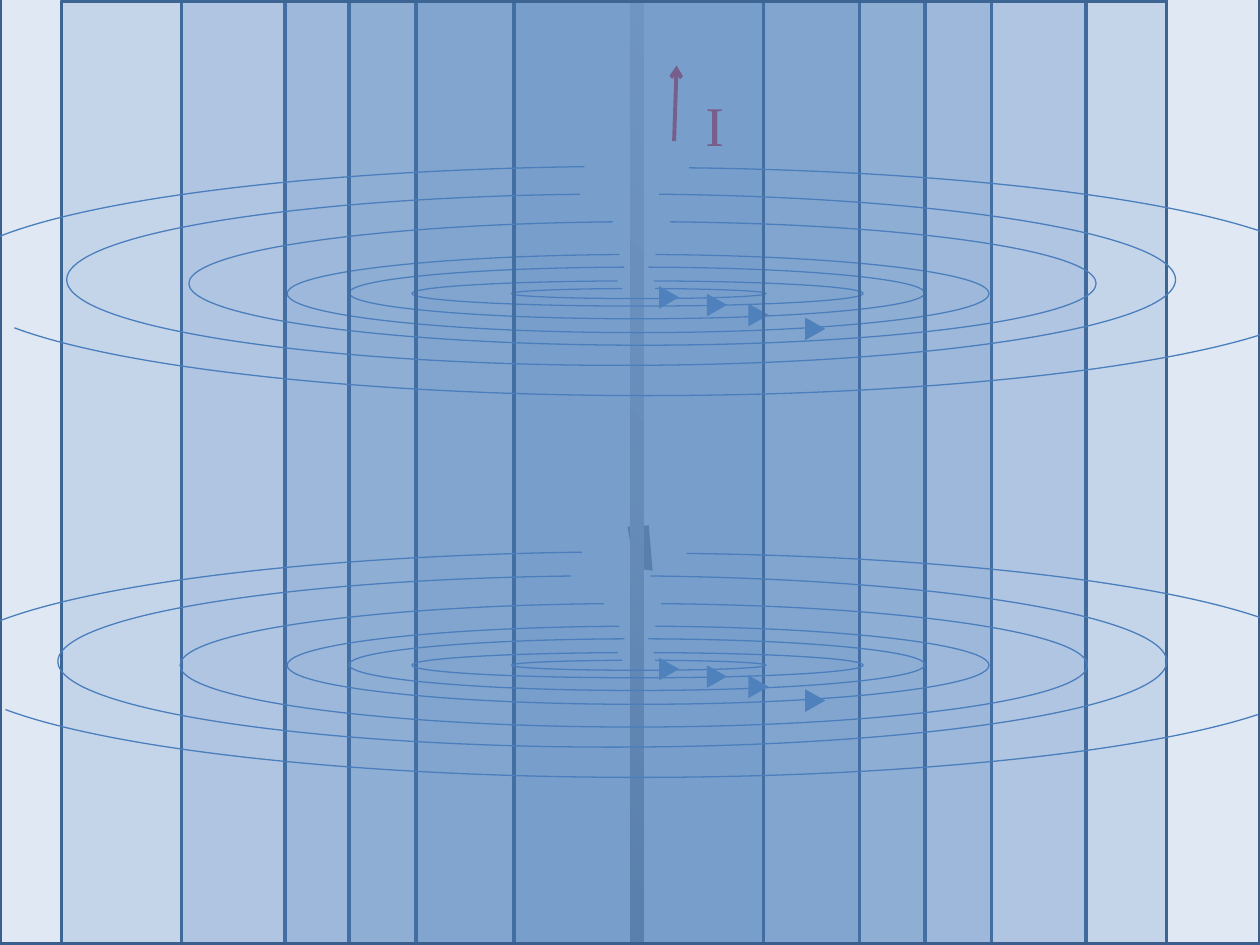
from copy import deepcopy

from lxml import etree
from pptx import Presentation
from pptx.dml.color import RGBColor
from pptx.enum.shapes import MSO_CONNECTOR, MSO_SHAPE
from pptx.enum.text import MSO_AUTO_SIZE
from pptx.oxml.ns import qn
from pptx.util import Inches, Pt

ARC = MSO_SHAPE.ARC
RECTANGLE = MSO_SHAPE.RECTANGLE
TRIANGLE = MSO_SHAPE.ISOSCELES_TRIANGLE
STRAIGHT = MSO_CONNECTOR.STRAIGHT
GROW = MSO_AUTO_SIZE.SHAPE_TO_FIT_TEXT

COLORS = {
    "current": "FF0000",
    "wire_dark": "808080",
    "wire_mid": "B7B7B7",
    "wire_light": "D9D9D9",
    "field_line": "4B7EBC",
    "field": "4F81BD",
    "shell_line": "3A5F8C",
}
SHELL_OPACITY = 18
ADJUSTMENT_PER_DEGREE = 0.6
BACK_GAP = (293.98, 244.31)
OUTER_ARCS = {
    "right_back": (293.98, 355.75),
    "left_back": (183.89, 244.31),
    "front": (4.68, 175.88),
}


def rgb(name):
    return RGBColor.from_string(COLORS[name])


def add_shape(shapes, kind, box, fill=None, line=None, width=0.75):
    shape = shapes.add_shape(kind, *(Inches(value) for value in box))
    shape.shadow.inherit = False
    if fill:
        shape.fill.solid()
        shape.fill.fore_color.rgb = rgb(fill)
    else:
        shape.fill.background()
    if line:
        shape.line.color.rgb = rgb(line)
        shape.line.width = Pt(width)
    else:
        shape.line.fill.background()
    return shape


def add_arc(shapes, box, angles):
    arc = add_shape(shapes, ARC, box, line="field_line")
    for index, angle in enumerate(angles):
        arc.adjustments[index] = angle * ADJUSTMENT_PER_DEGREE


def add_current(shapes, left, top):
    arrow = shapes.add_connector(
        STRAIGHT, Inches(left), Inches(top + 0.6), Inches(left + 0.02), Inches(top)
    )
    arrow.line.color.rgb = rgb("current")
    arrow.line.width = Pt(2.25)
    etree.SubElement(arrow.line._get_or_add_ln(), qn("a:tailEnd"), type="arrow")
    etree.SubElement(arrow._element.spPr, qn("a:effectLst"))

    label = shapes.add_textbox(
        Inches(left + 0.15), Inches(top + 0.15), Inches(0.45), Inches(0.64)
    )
    label.text_frame.word_wrap = True
    label.text_frame.auto_size = GROW
    run = label.text_frame.paragraphs[0].add_run()
    run.text = "I"
    for name, value in {"name": "Times New Roman", "size": Pt(32)}.items():
        setattr(run.font, name, value)
    run.font.color.rgb = rgb("current")


def add_wire(shapes, box):
    left = box[0]
    corners = [(0.18, 4.53), (0.04, 4.51), (-0.02, 4.18), (0.15, 4.17)]
    points = [(Inches(left + x), Inches(y)) for x, y in corners]
    builder = shapes.build_freeform(*points[0])
    builder.add_line_segments(points[1:], close=True)
    marker = builder.convert_to_shape()
    marker.shadow.inherit = False
    marker.fill.solid()
    marker.fill.fore_color.rgb = rgb("wire_dark")
    marker.line.fill.background()

    wire = add_shape(shapes, RECTANGLE, box)
    wire.fill.gradient()
    wire.fill.gradient_angle = 45
    stop_list = wire._element.spPr.find(qn("a:gradFill")).find(qn("a:gsLst"))
    stop_list.append(deepcopy(stop_list[-1]))
    stops = [(0, "wire_dark"), (0.5, "wire_mid"), (1, "wire_light")]
    for stop, (position, color) in zip(wire.fill.gradient_stops, stops):
        stop.position = position
        stop.color.rgb = rgb(color)


def add_inner_loops(shapes, left, top):
    loops = [
        ((0.49, 0.1, 4.57, 0.41), BACK_GAP),
        ((0.99, 0.21, 3.58, 0.2), (322.32, 212.16)),
        ((0, 0, 5.57, 0.62), BACK_GAP),
        ((1.78, 0.27, 2.02, 0.08), (343.07, 196.74)),
    ]
    for (x, y, width, height), angles in loops:
        add_arc(shapes, (left + x, top + y, width, height), angles)
    for x, y in [(2.94, 0.26), (3.32, 0.32), (3.65, 0.4), (4.1, 0.51)]:
        head = add_shape(shapes, TRIANGLE, (left + x, top + y, 0.18, 0.16), "field")
        head.rotation = 90


def add_shells(shapes, height):
    spans = [
        (2.26, 0, 5.61), (2.77, 0, 4.57), (3.3, 0, 3.52), (4.08, 0, 1.98),
        (1.44, -0.01, 7.18), (0.49, 0.01, 8.77), (0, -0.01, 10),
    ]
    for left, top, width in spans:
        shell = add_shape(
            shapes, RECTANGLE, (left, top, width, height), "field", "shell_line", 2
        )
        color = shell._element.spPr.find(qn("a:solidFill"))[0]
        etree.SubElement(color, qn("a:alpha"), val=str(SHELL_OPACITY * 1000))


def add_outer_loops(shapes, left, top, outer_arcs):
    add_arc(shapes, (left + 0.97, top + 0.22, 7.2, 0.98), BACK_GAP)
    add_arc(shapes, (left, top, 8.8, 1.36), BACK_GAP)
    for name, x, y in outer_arcs:
        add_arc(shapes, (x, y, 10.98, 1.8), OUTER_ARCS[name])


def main():
    presentation = Presentation()
    presentation.slide_width = Inches(10)
    presentation.slide_height = Inches(7.5)
    slide = presentation.slides.add_slide(presentation.slide_layouts[6])
    shapes = slide.shapes

    add_current(shapes, 5.35, 0.52)
    add_wire(shapes, (5, 0, 0.11, 7.5))
    add_inner_loops(shapes.add_group_shape().shapes, 2.28, 2.02)
    add_shells(shapes, 7.5)
    add_inner_loops(shapes, 2.28, 4.97)
    add_outer_loops(shapes, 0.46, 4.57, [
        ("right_back", -0.44, 4.39),
        ("left_back", -0.44, 4.38),
        ("front", -0.42, 4.37),
    ])
    add_outer_loops(shapes, 0.53, 1.54, [
        ("front", -0.35, 1.34),
        ("right_back", -0.42, 1.33),
        ("left_back", -0.42, 1.32),
    ])
    presentation.save("out.pptx")


if __name__ == "__main__":
    main()
